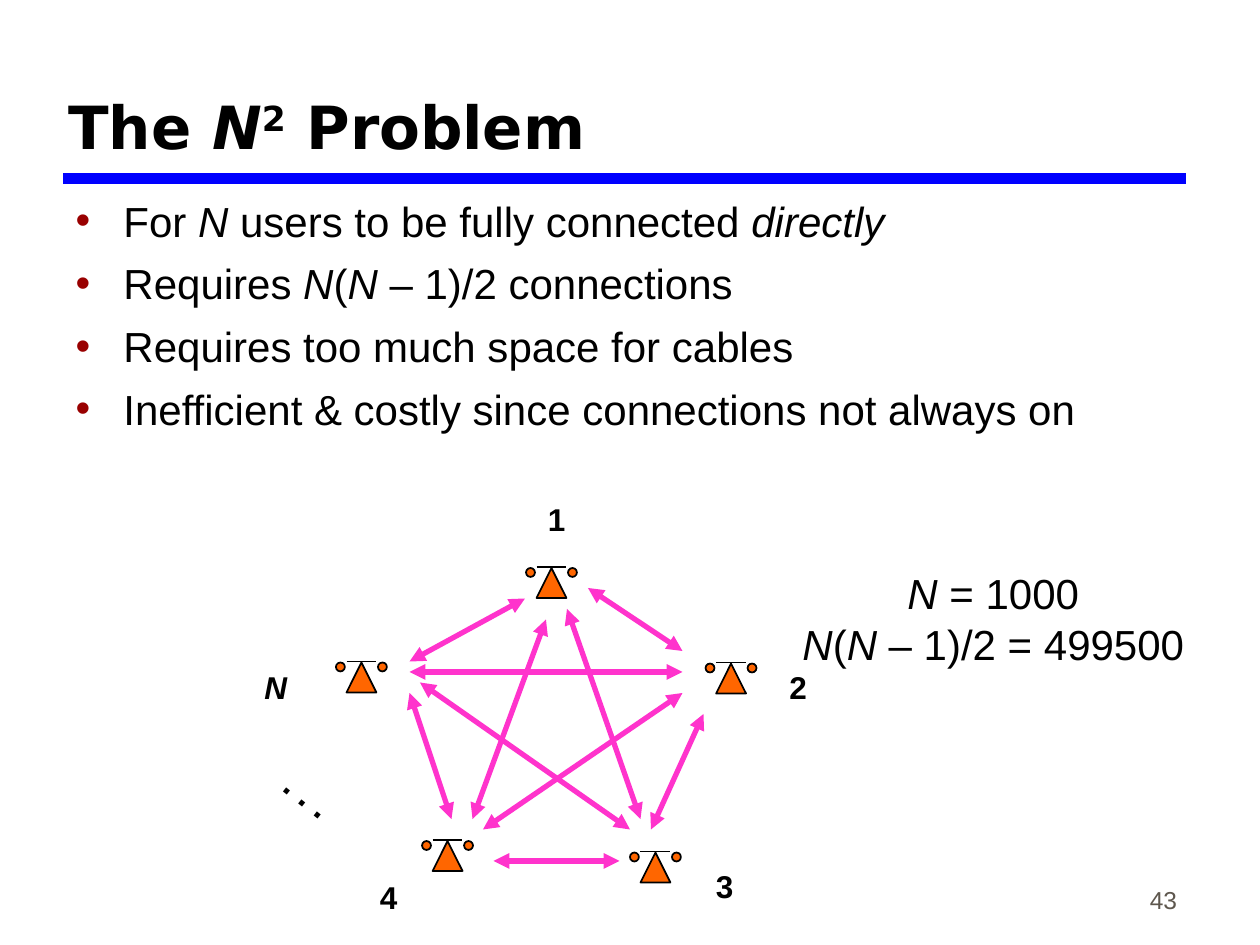
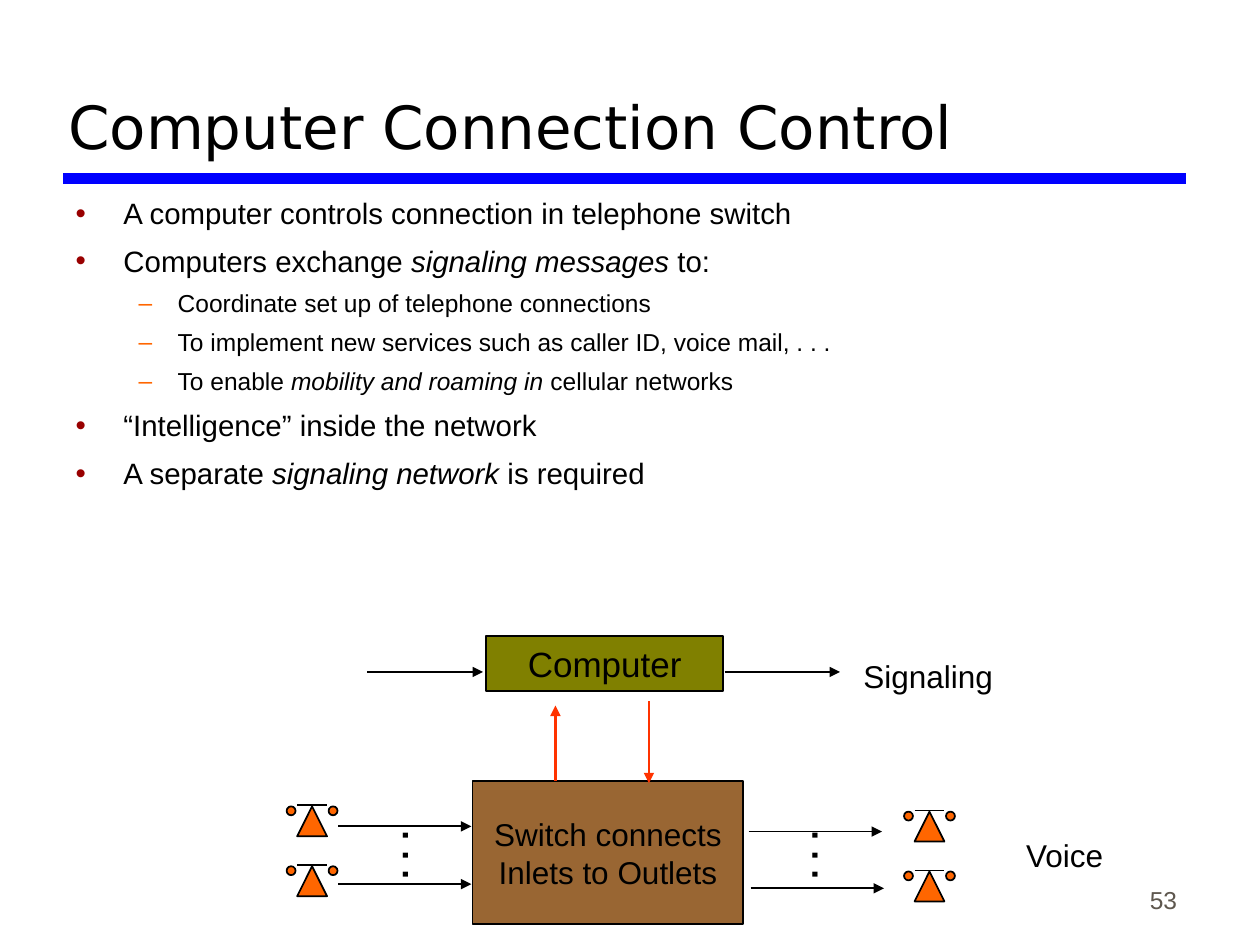
"""Builds two slides on telephone connections and their computer control."""
from dataclasses import dataclass

from lxml.etree import SubElement
from pptx import Presentation
from pptx.dml.color import RGBColor
from pptx.enum.shapes import MSO_CONNECTOR, MSO_SHAPE
from pptx.enum.text import MSO_ANCHOR, MSO_AUTO_SIZE, PP_ALIGN
from pptx.oxml.ns import qn
from pptx.util import Inches, Pt

COLUMNS, ROWS = 120, 90
TITLE_AND_BODY = 1


@dataclass(frozen=True)
class Theme:
    """Colours, fonts and type sizes of the deck."""
    ink: str = "000000"
    band: str = "0000FF"
    page: str = "5E574E"
    phone: str = "FF6600"
    link: str = "FF33CC"
    control: str = "FF3300"
    computer: str = "808000"
    switch: str = "996633"
    bullets: tuple = (("•", "990000", 0.38, 0.38, 7), ("–", "FF6600", 0.81, 0.31, 5.5))
    heading_font: str = "DejaVu Sans"
    text_font: str = "Arial"
    heading: float = 34
    large: float = 24
    medium: float = 20
    label: float = 18
    small: float = 14


THEME = Theme()


def add_bullet(paragraph, level):
    """Give a paragraph the bullet, indent and spacing of its level."""
    mark, color, left, hang, gap = THEME.bullets[level]
    paragraph.level = level
    properties = paragraph._p.get_or_add_pPr()
    properties.set("marL", str(Inches(left)))
    properties.set("indent", str(-Inches(hang)))
    bullet_color = SubElement(properties, qn("a:buClr"))
    SubElement(bullet_color, qn("a:srgbClr")).set("val", color)
    SubElement(properties, qn("a:buChar")).set("char", mark)
    paragraph.space_before = Pt(gap)


def write(frame, lines, sizes=(THEME.label,), font=THEME.text_font, color=THEME.ink,
          bold=False, align=PP_ALIGN.LEFT, anchor=MSO_ANCHOR.TOP, wrap=True,
          fit=MSO_AUTO_SIZE.NONE, bullets=False):
    """Write (level, text) lines, where *x* is italic and ^x^ is superscript."""
    frame.word_wrap = wrap
    frame.auto_size = fit
    frame.vertical_anchor = anchor
    for index, (level, line) in enumerate(lines):
        paragraph = frame.add_paragraph() if index else frame.paragraphs[0]
        paragraph.alignment = align
        if bullets:
            add_bullet(paragraph, level)
        if not index:
            paragraph.space_before = Pt(0)
        for slant, part in enumerate(line.split("*")):
            for lift, piece in enumerate(part.split("^")):
                if not piece:
                    continue
                run = paragraph.add_run()
                run.text = piece
                run.font.name = font
                run.font.size = Pt(sizes[level])
                run.font.bold = bold
                run.font.italic = slant % 2 == 1
                run.font.color.rgb = RGBColor.from_string(color)
                if lift % 2:
                    run._r.get_or_add_rPr().set("baseline", "30000")


class Deck:
    """Holds the presentation, its grid and the current slide."""

    def __init__(self):
        """Start an empty deck."""
        self.show = Presentation()
        self.show.slide_width = Inches(10)
        self.show.slide_height = Inches(7.5)
        self.slide = None

    def grid(self, *lengths):
        """Turn alternating columns and rows into slide lengths."""
        units = (self.show.slide_width / COLUMNS, self.show.slide_height / ROWS)
        return [round(length * units[i % 2]) for i, length in enumerate(lengths)]

    def start(self, title, points, page, sizes, extent, bold=False):
        """Add a slide with title, band, bulleted body and page number."""
        self.slide = self.show.slides.add_slide(self.show.slide_layouts[TITLE_AND_BODY])
        heading, body = self.slide.placeholders
        self.place(heading, 5.3, 2, 107.6, 14)
        write(heading.text_frame, [(0, title)], sizes=(THEME.heading,), bold=bold,
              font=THEME.heading_font, anchor=MSO_ANCHOR.BOTTOM)
        self.place(body, 6, 18, *extent)
        write(body.text_frame, points, sizes=sizes, bullets=True)
        self.line((6, 17, 113, 17), THEME.band, 6)
        self.text((88.3, 81.7, 25, 6), page, sizes=(THEME.small,), color=THEME.page,
                  align=PP_ALIGN.RIGHT, anchor=MSO_ANCHOR.BOTTOM)

    def place(self, holder, *box):
        """Move a placeholder to a grid box."""
        holder.left, holder.top, holder.width, holder.height = self.grid(*box)

    def text(self, box, *lines, turn=0, **style):
        """Add a text box."""
        holder = self.slide.shapes.add_textbox(*self.grid(*box))
        holder.rotation = turn
        write(holder.text_frame, [(0, line) for line in lines], **style)

    def label(self, box, *lines, **style):
        """Add an unwrapped text box that fits its text."""
        self.text(box, *lines, wrap=False, fit=MSO_AUTO_SIZE.SHAPE_TO_FIT_TEXT, **style)

    def dots(self, left, top, turn):
        """Add a turned row of three dots."""
        self.label((left, top, 7, 5.3), ". . .", turn=turn, bold=True,
                   sizes=(THEME.medium,))

    def shape(self, kind, box, fill, parent=None):
        """Add an outlined preset shape."""
        figure = (parent or self.slide).shapes.add_shape(kind, *self.grid(*box))
        figure.shadow.inherit = False
        figure.fill.solid()
        figure.fill.fore_color.rgb = RGBColor.from_string(fill)
        figure.line.color.rgb = RGBColor.from_string(THEME.ink)
        figure.line.width = Pt(1)
        return figure

    def block(self, box, fill, size, *lines):
        """Add a rectangle with centred text."""
        figure = self.shape(MSO_SHAPE.RECTANGLE, box, fill)
        write(figure.text_frame, [(0, line) for line in lines], sizes=(size,),
              align=PP_ALIGN.CENTER, anchor=MSO_ANCHOR.MIDDLE, wrap=False)

    def line(self, ends, color=THEME.ink, width=1, arrows=(), parent=None):
        """Add a straight line with arrowheads at headEnd or tailEnd."""
        stroke = (parent or self.slide).shapes.add_connector(
            MSO_CONNECTOR.STRAIGHT, *self.grid(*ends))
        stroke.line.color.rgb = RGBColor.from_string(color)
        stroke.line.width = Pt(width)
        for end in arrows:
            SubElement(stroke.line._get_or_add_ln(), qn(f"a:{end}")).set("type", "triangle")
        SubElement(stroke._element.spPr, qn("a:effectLst"))

    def phone(self, left, top):
        """Add a grouped telephone whose bar starts at the given cell."""
        group = self.slide.shapes.add_group_shape()
        self.shape(MSO_SHAPE.ISOSCELES_TRIANGLE, (left, top + 0.1, 2.85, 2.85),
                   THEME.phone, group)
        self.line((left, top, left + 2.85, top), parent=group)
        for shift in (3, -1):
            self.shape(MSO_SHAPE.OVAL, (left + shift, top + 0.1, 0.85, 0.85),
                       THEME.phone, group)


def add_mesh(deck):
    """Slide on the number of direct connections."""
    deck.start("The *N*^2^ Problem", [
        (0, "For *N* users to be fully connected *directly*"),
        (0, "Requires *N*(*N *– 1)/2 connections"),
        (0, "Requires too much space for cables"),
        (0, "Inefficient & costly since connections not always on"),
    ], "43", (THEME.large,), (107.3, 29), bold=True)
    deck.label((75.2, 53.5, 38.8, 10.8), "*N* = 1000", "*N*(*N* – 1)/2 = 499500",
               sizes=(THEME.large,), align=PP_ALIGN.CENTER)
    users = [("1", (51.1, 54), (51, 47)), ("2", (68.2, 63.1), (74, 63)),
             ("3", (61, 81.1), (67, 82)), ("4", (41.2, 80), (35, 83)),
             ("*N*", (33, 63), (24, 63))]
    for name, phone, corner in users:
        deck.phone(*phone)
        deck.label((*corner, 4.1, 4.8), name, bold=True)
    links = [(39, 63, 50, 57), (39, 64, 65, 64), (40, 65, 60, 79), (39, 66, 43, 78),
             (56, 56, 65, 62), (54, 58, 61, 78), (52, 59, 45, 78), (46, 79, 65, 66),
             (62, 79, 67, 68), (59, 82, 47, 82)]
    for ends in links:
        deck.line(ends, THEME.link, 3, ("headEnd", "tailEnd"))
    deck.dots(25.9, 73.1, 38.3)


def add_control(deck):
    """Slide on the computer that controls the switch."""
    deck.start("Computer Connection Control", [
        (0, "A computer controls connection in telephone switch"),
        (0, "Computers exchange *signaling messages* to:"),
        (1, "Coordinate set up of telephone connections"),
        (1, "To implement new services such as caller ID, voice mail, . . ."),
        (1, "To enable *mobility and roaming in* cellular networks"),
        (0, "“Intelligence” inside the network"),
        (0, "A separate *signaling network* is required"),
    ], "53", (16.8, THEME.small), (112, 30))
    deck.block((46.3, 60.6, 22.6, 5.2), THEME.computer, THEME.medium, "Computer")
    deck.block((45, 74.4, 25.8, 13.6), THEME.switch, THEME.label,
               "Switch connects", "Inlets to Outlets")
    for left in (35, 69):
        deck.line((left, 64, left + 11, 64), arrows=("tailEnd",))
    for column, start, end in ((52.9, 74.4, 67.2), (61.8, 66.8, 74.6)):
        deck.line((column, start, column, end), THEME.control, 1.5, ("tailEnd",))
    for left, top in ((28.3, 76.7), (87.1, 77.2)):
        for row in (top, top + 5.7):
            deck.phone(left, row)
    for left, row in ((32.2, 78.7), (32.2, 84.2), (71.3, 79.2), (71.5, 84.6)):
        deck.line((left, row, left + 12.7, row), arrows=("tailEnd",))
    for left in (34.1, 73.1):
        deck.dots(left, 78.8, 270)
    deck.label((81, 62, 14.8, 4.8), "Signaling", align=PP_ALIGN.CENTER)
    deck.label((96.5, 79, 9.8, 4.8), "Voice", align=PP_ALIGN.CENTER)


def main():
    """Build and save the deck."""
    deck = Deck()
    add_mesh(deck)
    add_control(deck)
    deck.show.save("out.pptx")


if __name__ == "__main__":
    main()
